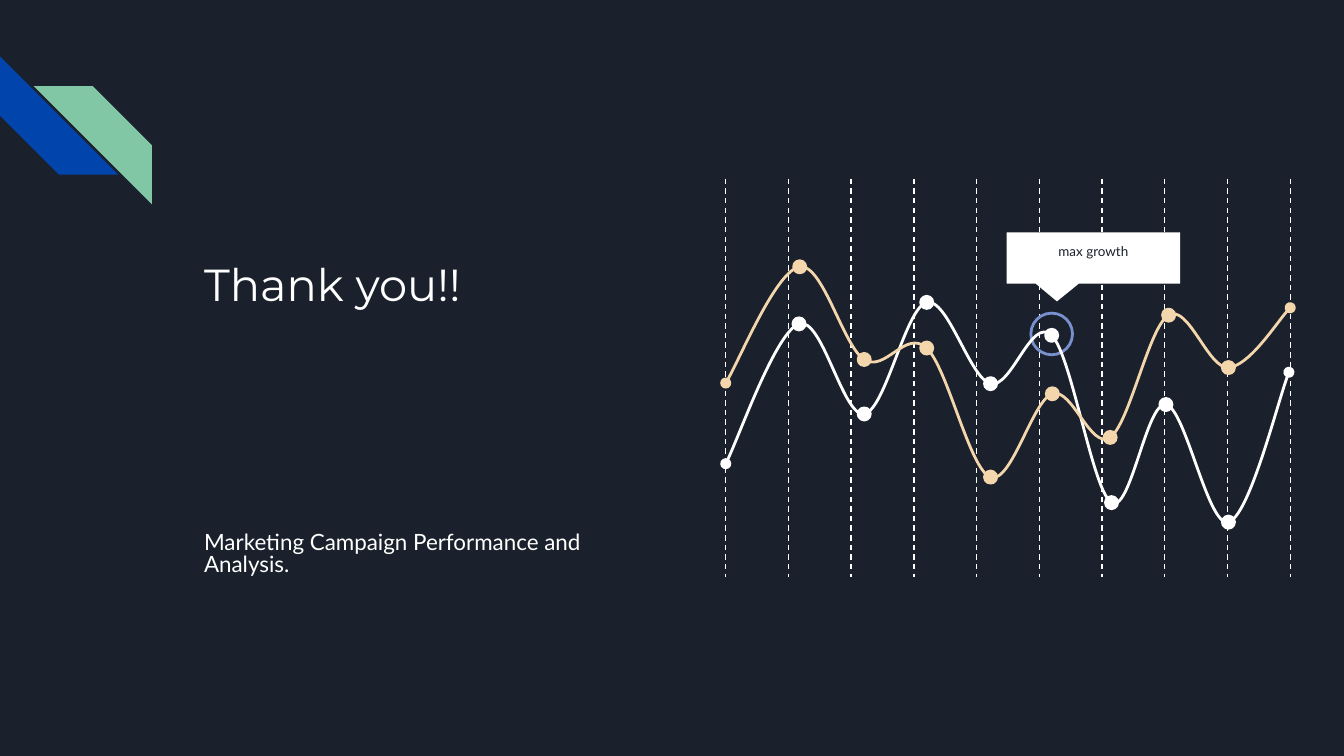
from lxml.etree import SubElement
from pptx import Presentation
from pptx.dml.color import RGBColor
from pptx.enum.dml import MSO_LINE
from pptx.enum.shapes import MSO_CONNECTOR, MSO_SHAPE as SHAPE
from pptx.enum.text import PP_ALIGN as ALIGN
from pptx.oxml.ns import qn
from pptx.util import Inches, Pt

COLORS = {
    "night": "1B212C", "white": "FFFFFF", "sand": "F4D6AD",
    "blue": "0145AC", "green": "82C7A5", "halo": "7890CD",
}
COLUMNS, ROWS = 100, 56.25  # grid of square cells over the slide


def rgb(name):
    return RGBColor.from_string(COLORS[name])


class Deck:
    """Style and current slide; all lengths are in grid columns and rows."""

    def __init__(self):
        self.presentation = Presentation()
        self.presentation.slide_width = Inches(10)
        self.presentation.slide_height = Inches(5.625)
        self.column = self.presentation.slide_width / COLUMNS
        self.row = self.presentation.slide_height / ROWS
        self.slide = self.presentation.slides.add_slide(
            self.presentation.slide_layouts[6])
        self.slide.background.fill.solid()
        self.slide.background.fill.fore_color.rgb = rgb("night")

    def place(self, *lengths):
        """Turn alternating columns and rows into slide units."""
        return [round(length * (self.row if index % 2 else self.column))
                for index, length in enumerate(lengths)]

    def paint(self, shape, fill=None, line=None):
        shape.shadow.inherit = False
        if fill:
            shape.fill.solid()
            shape.fill.fore_color.rgb = rgb(fill)
        else:
            shape.fill.background()
        if line:
            shape.line.color.rgb = rgb(line)
            shape.line.width = Pt(1.5)
        else:
            shape.line.fill.background()

    def shape(self, kind, box, fill=None, line=None, adjust=()):
        shape = self.slide.shapes.add_shape(kind, *self.place(*box))
        self.paint(shape, fill, line)
        for index, value in enumerate(adjust):
            shape.adjustments[index] = value
        return shape

    def dot(self, center, size, fill=None, line=None):
        x, y = center
        box = (x - size / 2, y - size / 2, size, size)
        return self.shape(SHAPE.OVAL, box, fill, line)

    def guide(self, x, top, bottom):
        line = self.slide.shapes.add_connector(
            MSO_CONNECTOR.STRAIGHT, *self.place(x, top, x, bottom))
        line.line.color.rgb = rgb("white")
        line.line.width = Pt(0.75)
        line.line.dash_style = MSO_LINE.DASH
        SubElement(line._element.spPr, qn("a:effectLst"))

    def curve(self, points, color):
        """Smooth line through the points, with dots on the inner ones."""
        anchors = [self.place(*point) for point in points]
        builder = self.slide.shapes.build_freeform(*anchors[0])
        builder.add_line_segments(anchors[1:], close=False)
        shape = builder.convert_to_shape()
        self.paint(shape, line=color)

        # Each handle is a sixth of the chord between an anchor's neighbours
        padded = [anchors[0], *anchors, anchors[-1]]
        handles = [((after[0] - before[0]) / 6, (after[1] - before[1]) / 6)
                   for before, after in zip(padded, padded[2:])]
        segments = list(shape._element.iter(qn("a:lnTo")))
        for index, segment in enumerate(segments):
            (x1, y1), (x2, y2) = anchors[index:index + 2]
            (dx1, dy1), (dx2, dy2) = handles[index:index + 2]
            segment.tag = qn("a:cubicBezTo")
            segment.clear()
            for x, y in ((x1 + dx1, y1 + dy1), (x2 - dx2, y2 - dy2), (x2, y2)):
                SubElement(segment, qn("a:pt"), x=str(round(x - shape.left)),
                           y=str(round(y - shape.top)))

        outline = shape._element.spPr.find(qn("a:ln"))
        for end in ("a:headEnd", "a:tailEnd"):
            SubElement(outline, qn(end), type="oval")
        for point in points[1:-1]:
            self.dot(point, 0.9, color, color)

    def text(self, words, box, font, size, color, spacing=1.0,
             align=ALIGN.LEFT):
        frame = self.slide.shapes.add_textbox(*self.place(*box)).text_frame
        frame.word_wrap = True
        frame.margin_left = frame.margin_right = Inches(0.1)
        frame.margin_top = frame.margin_bottom = Inches(0.1)
        paragraph = frame.paragraphs[0]
        paragraph.text = words
        paragraph.alignment = align
        paragraph.line_spacing = spacing
        paragraph.font.name = font
        paragraph.font.size = Pt(size)
        paragraph.font.color.rgb = rgb(color)


def main():
    deck = Deck()

    # Corner stripes
    stripe = deck.shape(SHAPE.DIAGONAL_STRIPE, (0, 4.2, 8.8, 8.8), "blue",
                        adjust=[0.5])
    stripe.rotation = 270
    stripe = deck.shape(SHAPE.DIAGONAL_STRIPE, (2.5, 6.4, 8.8, 8.8), "green",
                        adjust=[0.5])
    stripe._element.spPr.xfrm.set("flipH", "1")

    # Dashed guides
    left, right, count = 54, 96, 10
    for index in range(count):
        deck.guide(left + index * (right - left) / (count - 1), 13.3, 42.9)

    # Headings
    deck.text("Thank you!!", (14.2, 18.1, 33.2, 19.2), "Montserrat", 24,
              "white")
    deck.text("Marketing Campaign Performance and Analysis.",
              (14.2, 38.7, 33.2, 5.5), "Lato", 12, "white", 0.8)

    # Curves, with the peak circled and called out
    white_points = [(54, 34.5), (59.45, 24.1), (64.3, 30.8), (68.95, 22.5),
                    (73.7, 28.55), (78.25, 24.95), (82.7, 37.4),
                    (86.75, 30.1), (91.4, 38.85), (95.9, 27.7)]
    sand_points = [(54, 28.5), (59.5, 19.85), (64.3, 26.75), (68.95, 25.9),
                   (73.7, 35.5), (78.3, 29.3), (82.6, 32.55),
                   (86.95, 23.45), (91.4, 27.35), (96, 22.9)]
    deck.dot((78.25, 24.85), 3.1, line="halo")
    deck.curve(white_points, "white")
    deck.shape(SHAPE.ROUNDED_RECTANGULAR_CALLOUT, (74.9, 17.3, 12.9, 3.8),
               "white", adjust=[-0.21, 0.85, 0])
    deck.curve(sand_points, "sand")
    deck.text("max growth", (74.9, 17.6, 12.9, 3.1), "Lato", 7.2, "night",
              0.95, ALIGN.CENTER)

    deck.presentation.save("out.pptx")


if __name__ == "__main__":
    main()
